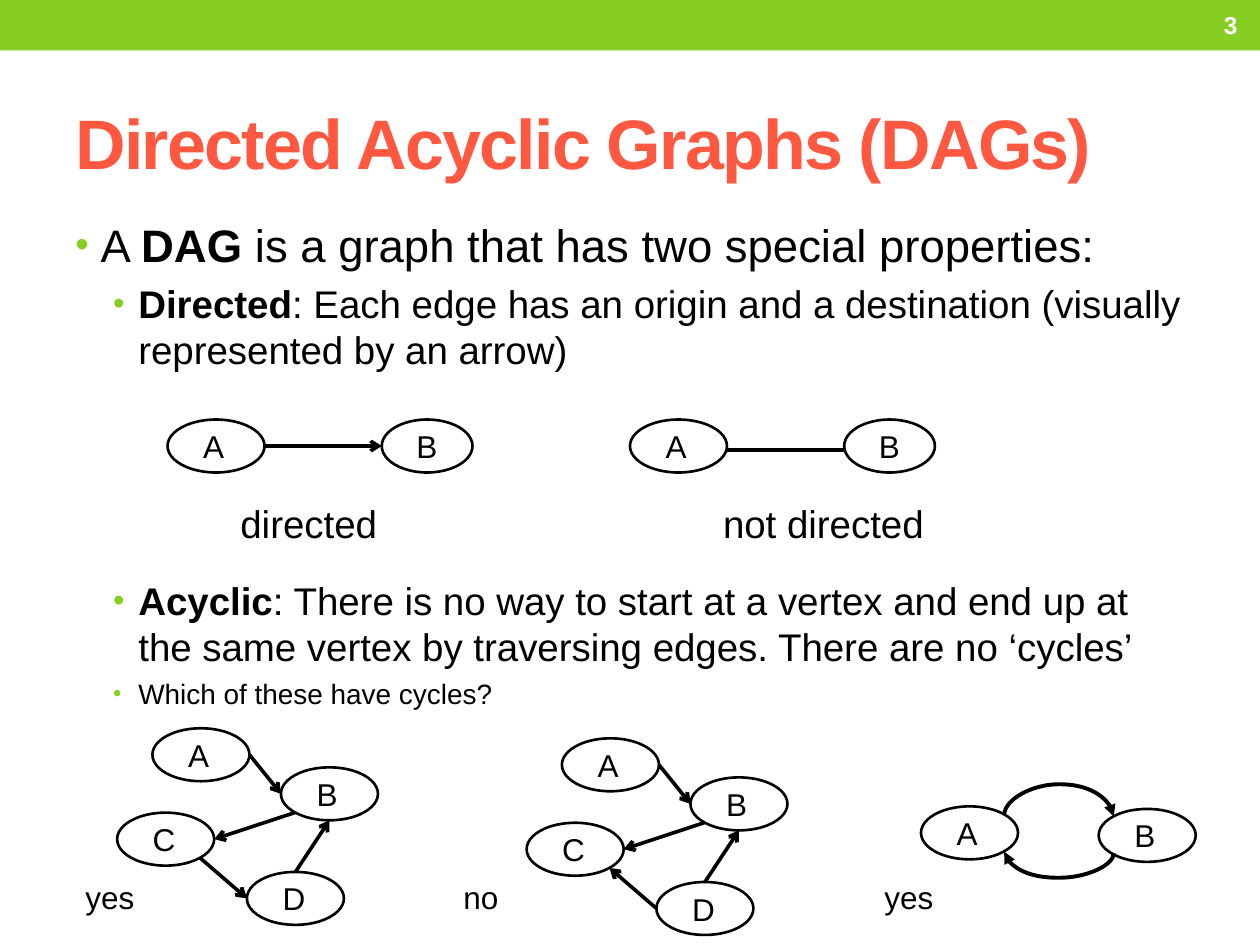
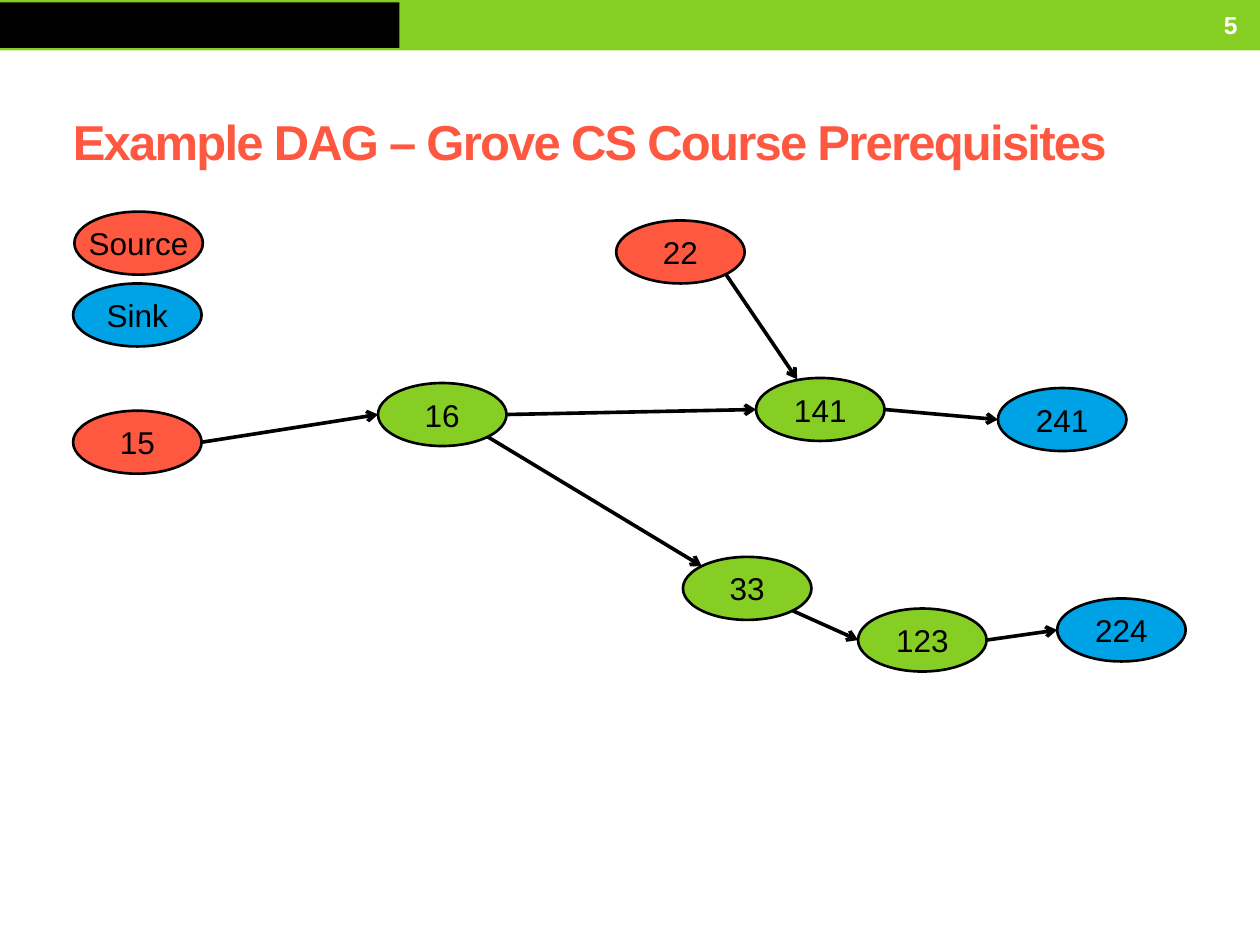
"""Two slides on directed acyclic graphs, with node graphs laid out from edge lists."""
from dataclasses import dataclass

from lxml import etree
from pptx import Presentation
from pptx.dml.color import RGBColor
from pptx.enum import shapes, text
from pptx.oxml import ns
from pptx.util import Inches, Pt


@dataclass(frozen=True)
class Theme:
    font: str = "Arial"
    green: str = "86CE24"
    coral: str = "FF5840"
    blue: str = "00A2E6"
    black: str = "000000"
    white: str = "FFFFFF"
    title: int = 40
    small_title: int = 28
    lead: int = 26
    point: int = 22
    node: int = 18
    question: int = 16
    page: int = 14
    outline: float = 1.5
    edge: float = 2.08
    curve: float = 2.25


THEME = Theme()

POINTS = [
    (0, THEME.lead, 5.2, [("A ", False), ("DAG", True),
                          (" is a graph that has two special properties:", False)]),
    (1, THEME.point, 5, [("Directed", True),
                         (": Each edge has an origin and a destination "
                          "(visually represented by an arrow)", False)]),
    (1, THEME.point, 117, [("Acyclic", True),
                           (": There is no way to start at a vertex and end up at the same "
                            "vertex by traversing edges. There are no ‘cycles’", False)]),
    (1, THEME.question, 4, [("Which of these have cycles?", False)]),
]
INDENTS = [0.2, 0.5]
HANGING = 0.2

CAPTIONS = [("directed", 1.91), ("not directed", 5.74)]
ANSWERS = [("yes", 0.58), ("no", 3.58), ("yes", 6.92)]

OVAL = (0.77, 0.42)
PAIR = {"A": (1.33, 3.33, *OVAL), "B": (3.03, 3.33, 0.72, 0.42)}
PAIR_SHIFT = 3.67
QUAD = {"A": (1.21, 5.78), "B": (2.23, 6.09), "C": (0.93, 6.45), "D": (1.96, 6.92)}
QUAD_EDGES = [("A", "e", "B", "w"), ("B", "sw", "C", "e"), ("D", "n", "B", "s")]
QUADS = [
    ((0, 0), ("C", "se", "D", "w")),
    ((3.25, 0.08), ("D", "w", "C", "se")),
]
LOOP = {"A": (7.31, 6.4), "B": (8.72, 6.42)}
LOOP_CURVES = [(6.47, -0.25, "tailEnd"), (6.76, 0.21, "headEnd")]

COURSE_SIZE = (1.02, 0.5)
COURSES = {
    "Source": (0.59, 1.68, THEME.coral),
    "Sink": (0.58, 2.25, THEME.blue),
    "15": (0.58, 3.26, THEME.coral),
    "16": (3, 3.04, THEME.green),
    "22": (4.89, 1.75, THEME.coral),
    "33": (5.42, 4.42, THEME.green),
    "123": (6.81, 4.83, THEME.green),
    "141": (6, 3, THEME.green),
    "224": (8.39, 4.75, THEME.blue),
    "241": (7.92, 3.08, THEME.blue),
}
PREREQUISITES = [
    ("15", "e", "16", "w"), ("16", "e", "141", "w"), ("16", "se", "33", "nw"),
    ("22", "se", "141", "nnw"), ("141", "e", "241", "w"),
    ("33", "se", "123", "w"), ("123", "e", "224", "w"),
]

DIAGONAL = 0.354
SITES = {
    "n": (0, -0.5), "s": (0, 0.5), "e": (0.5, 0), "w": (-0.5, 0),
    "nw": (-DIAGONAL, -DIAGONAL), "sw": (-DIAGONAL, DIAGONAL),
    "se": (DIAGONAL, DIAGONAL), "nnw": (-0.18, -0.48),
}


def color(value):
    return RGBColor.from_string(value)


def add_xml(parent, tag, **attributes):
    return etree.SubElement(parent, ns.qn(tag), attributes)


def style_run(run, size, ink=THEME.black, bold=False):
    run.font.name = THEME.font
    run.font.size = Pt(size)
    run.font.bold = bold
    run.font.color.rgb = color(ink)


def add_label(slide, words, box, size, ink=THEME.black, bold=False,
              align=text.PP_ALIGN.LEFT, anchor=text.MSO_ANCHOR.TOP):
    label = slide.shapes.add_textbox(*map(Inches, box))
    frame = label.text_frame
    frame.word_wrap = True
    frame.vertical_anchor = anchor
    frame.text = words
    frame.paragraphs[0].alignment = align
    run = frame.paragraphs[0].runs[0]
    style_run(run, size, ink, bold)
    return run


def add_bar(slide, box, fill):
    bar = slide.shapes.add_shape(shapes.MSO_SHAPE.RECTANGLE, *map(Inches, box))
    bar.shadow.inherit = False
    bar.fill.solid()
    bar.fill.fore_color.rgb = color(fill)
    bar.line.fill.background()


def start_slide(deck, title, title_left, title_size, page, cover=None):
    slide = deck.slides.add_slide(deck.slide_layouts[6])
    add_bar(slide, (0, 0, 10, 0.4), THEME.green)
    if cover:
        add_bar(slide, cover, THEME.black)
    heading = add_label(slide, title, (title_left, 0.58, 9, 1.08), title_size,
                        THEME.coral, True, anchor=text.MSO_ANCHOR.MIDDLE)
    heading._r.get_or_add_rPr().set("spc", "-100")
    add_label(slide, page, (8.75, 0.02, 1.17, 0.36), THEME.page, THEME.white, True,
              text.PP_ALIGN.RIGHT, text.MSO_ANCHOR.MIDDLE)
    return slide


def add_points(slide):
    frame = slide.shapes.add_textbox(*map(Inches, (0.5, 1.67, 9, 5.33))).text_frame
    frame.word_wrap = True
    for index, (level, size, gap, parts) in enumerate(POINTS):
        point = frame.add_paragraph() if index else frame.paragraphs[0]
        point.level = level
        point.space_before = Pt(gap)
        for words, bold in parts:
            run = point.add_run()
            run.text = words
            style_run(run, size, bold=bold)
        properties = point._p.get_or_add_pPr()
        properties.set("marL", str(Inches(INDENTS[level])))
        properties.set("indent", str(-Inches(HANGING)))
        add_xml(add_xml(properties, "a:buClr"), "a:srgbClr", val=THEME.green)
        add_xml(properties, "a:buSzPct", val="85000")
        add_xml(properties, "a:buFont", typeface=THEME.font)
        add_xml(properties, "a:buChar", char="•")


def add_node(slide, words, box, fill=None):
    node = slide.shapes.add_shape(shapes.MSO_SHAPE.OVAL, *map(Inches, box))
    node.shadow.inherit = False
    node.line.color.rgb = color(THEME.black)
    node.line.width = Pt(THEME.outline)
    frame = node.text_frame
    frame.word_wrap = False
    frame.vertical_anchor = text.MSO_ANCHOR.MIDDLE
    frame.text = words
    if fill:
        node.fill.solid()
        node.fill.fore_color.rgb = color(fill)
        frame.paragraphs[0].alignment = text.PP_ALIGN.CENTER
    else:
        node.fill.background()
        frame.margin_left = Inches(0.17)
        frame.paragraphs[0].alignment = text.PP_ALIGN.LEFT
    style_run(frame.paragraphs[0].runs[0], THEME.node)


def add_line(slide, kind, start, end, width, ending=None, head="arrow"):
    line = slide.shapes.add_connector(kind, *map(Inches, (*start, *end)))
    line.line.color.rgb = color(THEME.black)
    line.line.width = Pt(width)
    properties = line._element.spPr
    if ending:
        add_xml(properties.find(ns.qn("a:ln")), "a:" + ending, type=head)
    add_xml(properties, "a:effectLst")
    return properties


def site_point(box, site):
    left, top, width, height = box
    across, down = SITES[site]
    return left + width * (0.5 + across), top + height * (0.5 + down)


def add_graph(slide, boxes, edges, fills=None, ending="tailEnd", drop=0):
    for words, box in boxes.items():
        add_node(slide, words, box, fills and fills[words])
    for origin, leave, target, arrive in edges:
        start, end = ((x, y + drop) for x, y in (site_point(boxes[origin], leave),
                                                 site_point(boxes[target], arrive)))
        add_line(slide, shapes.MSO_CONNECTOR.STRAIGHT, start, end, THEME.edge, ending)


def add_loop_curve(slide, top, bulge, ending):
    thin, span, middle = 0.01, 0.87, 8.4
    upper = top + thin / 2 - span / 2
    properties = add_line(slide, shapes.MSO_CONNECTOR.CURVE, (middle, upper),
                          (middle + thin, upper + span), THEME.curve, ending, "triangle")
    frame = properties.find(ns.qn("a:xfrm"))
    frame.set("rot", "16200000")
    frame.set("flipH", "1")
    guides = properties.find(ns.qn("a:prstGeom")).find(ns.qn("a:avLst"))
    add_xml(guides, "a:gd", name="adj1", fmla=f"val {round(bulge / thin * 100000)}")


def build_definition(deck):
    slide = start_slide(deck, "Directed Acyclic Graphs (DAGs)", 0.5, THEME.title, "3")
    add_points(slide)
    for words, left in CAPTIONS:
        add_label(slide, words, (left - 0.1, 3.92, 2.2, 0.45), THEME.point)
    across = [("A", "e", "B", "w")]
    add_graph(slide, PAIR, across)
    undirected = {words: (left + PAIR_SHIFT, *rest) for words, (left, *rest) in PAIR.items()}
    add_graph(slide, undirected, across, ending=None, drop=0.03)
    for (right, down), last_edge in QUADS:
        boxes = {words: (x + right, y + down, *OVAL) for words, (x, y) in QUAD.items()}
        add_graph(slide, boxes, QUAD_EDGES + [last_edge])
    add_graph(slide, {words: (*corner, *OVAL) for words, corner in LOOP.items()}, [])
    for curve in LOOP_CURVES:
        add_loop_curve(slide, *curve)
    for words, left in ANSWERS:
        add_label(slide, words, (left, 6.92, 0.83, 0.42), THEME.node)


def build_example(deck):
    slide = start_slide(deck, "Example DAG – Grove CS Course Prerequisites", 0.48,
                        THEME.small_title, "5", cover=(0, 0.02, 3.17, 0.36))
    boxes = {words: (x, y, *COURSE_SIZE) for words, (x, y, _) in COURSES.items()}
    fills = {words: fill for words, (_, _, fill) in COURSES.items()}
    add_graph(slide, boxes, PREREQUISITES, fills)


deck = Presentation()
deck.slide_width, deck.slide_height = Inches(10), Inches(7.5)
build_definition(deck)
build_example(deck)
deck.save("out.pptx")
